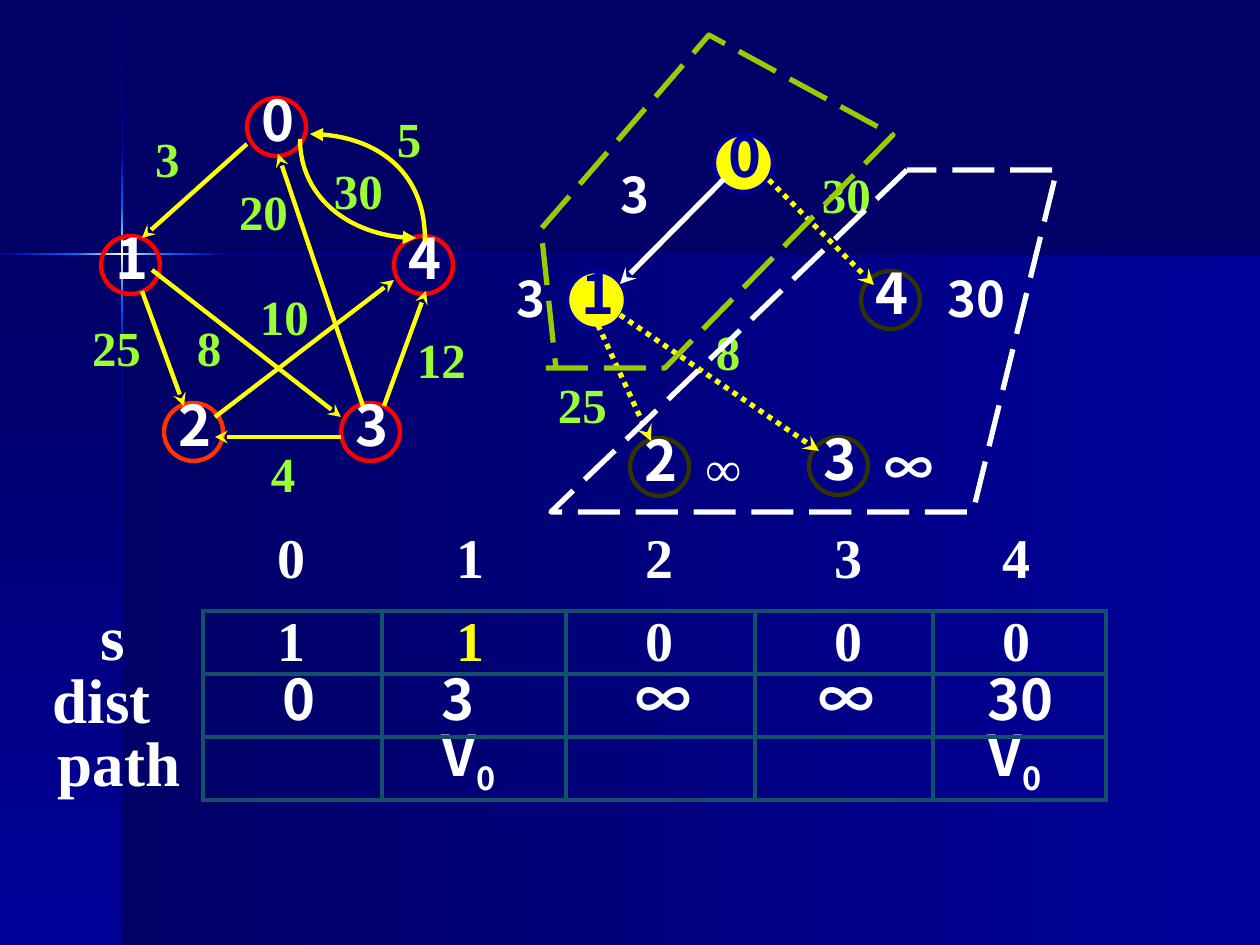
from lxml import etree
from pptx import Presentation, util as u
from pptx.dml.color import RGBColor
from pptx.enum import dml, shapes, text
from pptx.oxml.ns import qn

PX = 914400 // 126
SERIF, SANS = "Times New Roman", "Noto Sans CJK SC"
NAVY, BLUE = RGBColor(0, 0, 0x66), RGBColor(0, 0, 0x99)
GLOW, CREAM = RGBColor(0, 0x66, 0xFF), RGBColor(0xFF, 0xFF, 0xCC)
WHITE, YELLOW = RGBColor(0xFF, 0xFF, 0xFF), RGBColor(0xFF, 0xFF, 0)
RED, ORANGE = RGBColor(0xFF, 0, 0), RGBColor(0xFF, 0x33, 0)
LIME, OLIVE = RGBColor(0x99, 0xFF, 0x33), RGBColor(0x99, 0xCC, 0)
DARK, TEAL = RGBColor(0x33, 0x33, 0), RGBColor(0x13, 0x50, 0x69)

# Backdrop: left, top, width, height, gradient angle, colours
PANELS = [(122, 255, 1138, 690, 0, (NAVY, BLUE)), (0, 255, 122, 690, 90, (NAVY, BLUE))]
STREAK = [(NAVY, BLUE), (BLUE, GLOW), (GLOW, CREAM, GLOW), (GLOW, BLUE), (BLUE, NAVY)]
STREAK_DOWN = [1, 152, 208, 300, 355, 945]
STREAK_ACROSS = [0, 76, 168, 223, 1260]

# Nodes: name, left, top, line, fill, text colour
NODES = [
    ("1", 567, 271, BLUE, YELLOW, BLUE), ("0", 714, 134, BLUE, YELLOW, BLUE),
    ("2", 630, 438, DARK, None, WHITE), ("3", 809, 437, DARK, None, WHITE),
    ("4", 861, 271, DARK, None, WHITE),
    ("1", 101, 236, RED, None, WHITE), ("0", 247, 98, RED, None, WHITE),
    ("2", 164, 403, ORANGE, None, WHITE), ("3", 341, 403, RED, None, WHITE),
    ("4", 394, 236, RED, None, WHITE),
]
GRAPH_EDGES = [
    (142, 291, 184, 406), (341, 437, 215, 437), (384, 406, 426, 291), (363, 406, 278, 154),
    (152, 270, 341, 417), (215, 417, 394, 280), (247, 144, 142, 238),
]
CHOSEN_EDGES = [(724, 179, 620, 284)]
CANDIDATE_EDGES = [(769, 180, 874, 285), (598, 325, 651, 441), (620, 315, 819, 451)]
CURVED_EDGES = [
    [(310, 134), (375, 134), (426, 175), (425, 241)],
    [(416, 238), (352, 238), (300, 195), (300, 139)],
]
WEIGHTS = [
    ("3", 155, 122), ("25", 92, 311), ("8", 197, 311), ("10", 260, 280), ("20", 239, 175),
    ("4", 271, 437), ("5", 397, 102), ("30", 334, 154), ("12", 417, 323),
    ("25", 558, 368), ("8", 716, 315), ("30", 822, 158),
]
DISTANCES = [
    ("3", 517, 262, SANS), ("3", 621, 158, SANS), ("30", 948, 262, SANS),
    ("∞", 706, 431, SERIF), ("∞", 885, 431, SANS),
]
SETTLED_SET = [(546, 368), (665, 368), (893, 135), (709, 35), (541, 229), (556, 368)]
OPEN_SET = [(907, 170), (551, 512), (973, 512), (1057, 170)]

HEADERS = ["0", "1", "2", "3", "4"]
ROW_LABELS = [("s", 101), ("dist", 53), ("path", 58)]
ROWS = [
    ["1", "1", "0", "0", "0"],
    ["0", "3", "∞", "∞", "30"],
    ["", "V0", "", "", "V0"],
]
TABLE_TOP, ROW_HEIGHT = 611, 63
COLUMN_EDGES = [203, 382, 566, 755, 933, 1106]
SERIF_LEFTS = [278, 457, 646, 835, 1003]
SANS_LEFTS = [283, 442, 636, 819, 988]

prs = Presentation()
prs.slide_width, prs.slide_height = 1260 * PX, 945 * PX
slide = prs.slides.add_slide(prs.slide_layouts[6])
slide.background.fill.solid()
slide.background.fill.fore_color.rgb = NAVY


def px(*lengths):
    return [length * PX for length in lengths]


def style_run(run, size, color, face):
    font = run.font
    font.size, font.bold, font.name = u.Pt(size), True, face
    font.color.rgb = color
    etree.SubElement(run._r.get_or_add_rPr(), qn("a:ea"), typeface=face)


def add_label(words, left, top, width, height, size, color, face, align=text.PP_ALIGN.LEFT):
    frame = slide.shapes.add_textbox(*px(left, top, width, height)).text_frame
    frame.word_wrap = True
    frame.vertical_anchor = text.MSO_ANCHOR.MIDDLE
    frame.margin_left = frame.margin_right = frame.margin_top = frame.margin_bottom = 0
    paragraph = frame.paragraphs[0]
    paragraph.text, paragraph.alignment = words, align
    style_run(paragraph.runs[0], size, color, face)


def style_line(line, color, width, dash=None, **ends):
    """Set a line's look; ends maps headEnd or tailEnd to an arrowhead type."""
    line.color.rgb, line.width = color, u.Pt(width)
    if dash:
        line.dash_style = dash
    for end, kind in ends.items():
        etree.SubElement(line._get_or_add_ln(), qn("a:" + end), type=kind)


def add_gradient_box(left, top, width, height, angle, colors):
    box = slide.shapes.add_shape(shapes.MSO_SHAPE.RECTANGLE, *px(left, top, width, height))
    box.shadow.inherit = False
    box.line.fill.background()
    box.fill.gradient()
    gradient = box._element.spPr.find(qn("a:gradFill"))
    for child in list(gradient):
        gradient.remove(child)
    stops = etree.SubElement(gradient, qn("a:gsLst"))
    for i, color in enumerate(colors):
        stop = etree.SubElement(stops, qn("a:gs"), pos=str(100000 * i // (len(colors) - 1)))
        etree.SubElement(stop, qn("a:srgbClr"), val=str(color))
    etree.SubElement(gradient, qn("a:lin"), ang=str(angle * 60000), scaled="0")


def add_edges(edges, *look):
    for ends in edges:
        edge = slide.shapes.add_connector(shapes.MSO_CONNECTOR.STRAIGHT, *px(*ends))
        style_line(edge.line, *look, tailEnd="stealth")
        etree.SubElement(edge._element.spPr, qn("a:effectLst"))


def add_outline(points, close=False):
    builder = slide.shapes.build_freeform(*points[0], scale=PX)
    builder.add_line_segments(points[1:], close=close)
    outline = builder.convert_to_shape()
    outline.shadow.inherit = False
    outline.fill.background()
    return outline


def add_curve(points):
    """Draw one cubic Bezier, with an arrowhead at its first point."""
    curve = add_outline(points)
    segments = list(curve._element.iter(qn("a:lnTo")))
    bezier = etree.SubElement(segments[0].getparent(), qn("a:cubicBezTo"))
    for segment in segments:
        bezier.append(segment[0])
        segment.getparent().remove(segment)
    style_line(curve.line, YELLOW, 2.5, headEnd="triangle")


def add_borders(cell):
    for i, side in enumerate(("lnL", "lnR", "lnT", "lnB")):
        border = etree.Element(qn("a:" + side), w=str(u.Pt(2.25)))
        fill = etree.SubElement(border, qn("a:solidFill"))
        etree.SubElement(fill, qn("a:srgbClr"), val=str(TEAL))
        cell._tc.get_or_add_tcPr().insert(i, border)


for panel in PANELS:
    add_gradient_box(*panel)
for start, end, colors in zip(STREAK_DOWN, STREAK_DOWN[1:], STREAK):
    add_gradient_box(121, start, 2, end - start, 90, colors)
for start, end, colors in zip(STREAK_ACROSS, STREAK_ACROSS[1:], STREAK[1:]):
    add_gradient_box(start, 253, end - start, 2, 0, colors)

for words, left, top in WEIGHTS:
    add_label(words, left, top, 70, 72, 28, LIME, SERIF)
for words, left, top, face in DISTANCES:
    add_label(words, left, top, 70, 72, 28, WHITE, face)
for name, left, top, outline, fill, color in NODES:
    circle = slide.shapes.add_shape(shapes.MSO_SHAPE.OVAL, *px(left, top, 59, 58))
    circle.shadow.inherit = False
    style_line(circle.line, outline, 2.5)
    if fill:
        circle.fill.solid()
        circle.fill.fore_color.rgb = fill
    else:
        circle.fill.background()
    add_label(name, left + 10, top - 18, 43, 79, 32, color, SANS, text.PP_ALIGN.CENTER)

add_edges(GRAPH_EDGES, YELLOW, 2.5)
add_edges(CHOSEN_EDGES, WHITE, 3)
add_edges(CANDIDATE_EDGES, YELLOW, 3, dml.MSO_LINE.ROUND_DOT)
for points in CURVED_EDGES:
    add_curve(points)
style_line(add_outline(SETTLED_SET).line, OLIVE, 3, dml.MSO_LINE.LONG_DASH)
style_line(add_outline(OPEN_SET, close=True).line, WHITE, 3, dml.MSO_LINE.LONG_DASH)

for words, left in zip(HEADERS, SERIF_LEFTS):
    add_label(words, left, 517, 40, 79, 32, WHITE, SERIF)
for r, (words, left) in enumerate(ROW_LABELS):
    add_label(words, left, 591 + r * ROW_HEIGHT, 140, 88, 36, WHITE, SERIF)

table = slide.shapes.add_table(len(ROWS), len(HEADERS), *px(
    COLUMN_EDGES[0], TABLE_TOP, COLUMN_EDGES[-1] - COLUMN_EDGES[0], len(ROWS) * ROW_HEIGHT)).table
table.first_row = table.horz_banding = False
for c, column in enumerate(table.columns):
    column.width = (COLUMN_EDGES[c + 1] - COLUMN_EDGES[c]) * PX
for r, values in enumerate(ROWS):
    table.rows[r].height = ROW_HEIGHT * PX
    face, lefts = (SERIF, SERIF_LEFTS) if r == 0 else (SANS, SANS_LEFTS)
    for c, value in enumerate(values):
        cell = table.cell(r, c)
        cell.margin_top = cell.margin_bottom = cell.margin_right = 0
        cell.margin_left = (lefts[c] - COLUMN_EDGES[c]) * PX
        cell.fill.background()
        add_borders(cell)
        paragraph = cell.text_frame.paragraphs[0]
        paragraph.line_spacing = u.Pt(36)
        parts = list(value) if value.startswith("V") else [value] if value else []
        for i, part in enumerate(parts):
            run = paragraph.add_run()
            run.text = part
            style_run(run, 32, YELLOW if (r, c) == (0, 1) else WHITE, face)
            if i:
                run._r.get_or_add_rPr().set("baseline", "-25000")

prs.save("out.pptx")
